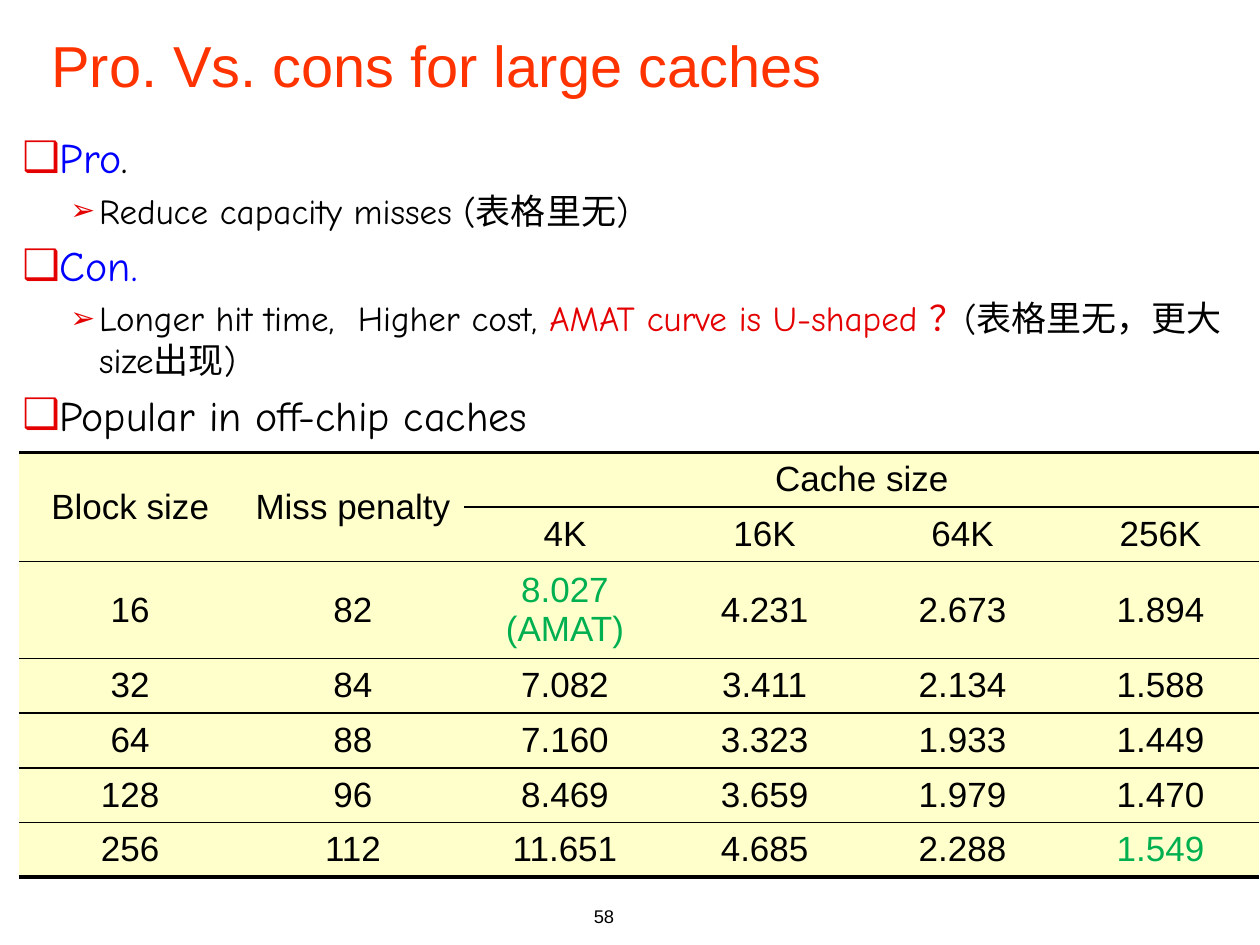
from lxml import etree
from pptx import Presentation
from pptx.dml.color import RGBColor
from pptx.enum.shapes import MSO_SHAPE
from pptx.enum.text import MSO_ANCHOR, PP_ALIGN
from pptx.oxml.ns import qn
from pptx.util import Cm, Pt

RECTANGLE = MSO_SHAPE.RECTANGLE
MIDDLE = MSO_ANCHOR.MIDDLE
LEFT, CENTER, RIGHT = PP_ALIGN.LEFT, PP_ALIGN.CENTER, PP_ALIGN.RIGHT
COLORS = {"title": "FF3300", "black": "000000", "blue": "0000FF", "red": "E40000",
          "green": "00B050", "cell": "FFFFCC", "white": "FFFFFF"}


def style(font, color, size=None, name=None):
    font.color.rgb = RGBColor.from_string(COLORS[color])
    if size:
        font.size = Pt(size)
    if name:
        font.name = name


def add_text_box(left, top, width, height):
    box = slide.shapes.add_textbox(Cm(left), Cm(top), Cm(width), Cm(height))
    box.text_frame.word_wrap = True
    return box.text_frame


presentation = Presentation()
presentation.slide_width, presentation.slide_height = Cm(25.4), Cm(19.05)
slide = presentation.slides.add_slide(presentation.slide_layouts[6])

# Page number
frame = add_text_box(7.34, 18.12, 5.29, 1.27)
paragraph = frame.paragraphs[0]
paragraph.text = "58"
paragraph.alignment = RIGHT
style(paragraph.font, "black", 10.5, "Arial")

# Title on a white band
title = slide.shapes.add_shape(RECTANGLE, Cm(0.79), Cm(0), Cm(24.05), Cm(2.59))
title.shadow.inherit = False
title.fill.solid()
title.fill.fore_color.rgb = RGBColor.from_string(COLORS["white"])
title.line.fill.background()
title.text_frame.word_wrap = True
title.text_frame.vertical_anchor = MIDDLE
paragraph = title.text_frame.paragraphs[0]
paragraph.text = "Pro. Vs. cons for large caches"
paragraph.alignment = LEFT
style(paragraph.font, "title", 33, "Arial")

# Bulleted points: level and coloured runs
LEVELS = [
    {"margin": 0.72, "indent": -0.72, "size": 24, "bullet": "❑", "percent": 100},
    {"margin": 1.55, "indent": -0.58, "size": 20, "bullet": "➢", "percent": 85},
]
points = [
    (0, [("Pro", "blue"), (".", "black")]),
    (1, [("Reduce capacity misses (表格里无)", "black")]),
    (0, [("Con.", "blue")]),
    (1, [("Longer hit time,  Higher cost, ", "black"),
         ("AMAT curve is U-shaped ？", "red"),
         ("(表格里无，更大size出现)", "black")]),
    (0, [("Popular in off-chip caches", "black")]),
]
frame = add_text_box(0.2, 2.53, 25.37, 5.79)
for index, (level_number, runs) in enumerate(points):
    level = LEVELS[level_number]
    paragraph = frame.add_paragraph() if index else frame.paragraphs[0]
    paragraph.level = level_number
    properties = paragraph._p.get_or_add_pPr()
    properties.set("marL", str(Cm(level["margin"])))
    properties.set("indent", str(Cm(level["indent"])))
    bullet_color = etree.SubElement(properties, qn("a:buClr"))
    etree.SubElement(bullet_color, qn("a:srgbClr"), val=COLORS["red"])
    etree.SubElement(properties, qn("a:buSzPct"), val=str(level["percent"] * 1000))
    etree.SubElement(properties, qn("a:buFont"), typeface="Arial")
    etree.SubElement(properties, qn("a:buChar"), char=level["bullet"])
    if index:
        paragraph.space_before = Pt(0.2 * level["size"])
    style(paragraph.font, runs[0][1], level["size"], "Comic Neue")
    for text, color in runs:
        run = paragraph.add_run()
        run.text = text
        if len(runs) > 1:
            style(run.font, color)

# Table of access times by block size and cache size
rows = [
    ["Block size", "Miss penalty", "Cache size", "", "", ""],
    ["", "", "4K", "16K", "64K", "256K"],
    ["16", "82", "8.027 (AMAT)", "4.231", "2.673", "1.894"],
    ["32", "84", "7.082", "3.411", "2.134", "1.588"],
    ["64", "88", "7.160", "3.323", "1.933", "1.449"],
    ["128", "96", "8.469", "3.659", "1.979", "1.470"],
    ["256", "112", "11.651", "4.685", "2.288", "1.549"],
]
highlighted = {(2, 2), (6, 5)}
column_widths = [4.49, 4.49, 4.06, 3.99, 3.99, 3.99]
row_heights = [1.1, 1.1, 1.84, 1.1, 1.1, 1.1, 1.1]
table = slide.shapes.add_table(
    len(rows), len(column_widths), Cm(0.38), Cm(9.12),
    Cm(sum(column_widths)), Cm(sum(row_heights))).table
table.first_row = table.horz_banding = False
for column, width in zip(table.columns, column_widths):
    column.width = Cm(width)
for row, height in zip(table.rows, row_heights):
    row.height = Cm(height)

for row_index, values in enumerate(rows):
    # Only horizontal rules, heavier along the table's top and bottom
    borders = {"a:lnL": 0, "a:lnR": 0,
               "a:lnT": 2.25 if row_index == 0 else 1,
               "a:lnB": 2.25 if row_index == len(rows) - 1 else 1}
    for column_index, value in enumerate(values):
        cell = table.cell(row_index, column_index)
        cell.vertical_anchor = MIDDLE
        cell_properties = cell._tc.get_or_add_tcPr()
        for tag, width in borders.items():
            line = etree.SubElement(cell_properties, qn(tag), w=str(Pt(width)))
            if width:
                line_fill = etree.SubElement(line, qn("a:solidFill"))
                etree.SubElement(line_fill, qn("a:srgbClr"), val=COLORS["black"])
            else:
                etree.SubElement(line, qn("a:noFill"))
        cell.fill.solid()
        cell.fill.fore_color.rgb = RGBColor.from_string(COLORS["cell"])
        paragraph = cell.text_frame.paragraphs[0]
        paragraph.text = value
        paragraph.alignment = CENTER
        color = "green" if (row_index, column_index) in highlighted else "black"
        style(paragraph.font, color, 20, "Arial")

# Header cells that span rows or columns
for first, last in [((0, 0), (1, 0)), ((0, 1), (1, 1)), ((0, 2), (0, 5))]:
    table.cell(*first).merge(table.cell(*last))

presentation.save("out.pptx")
